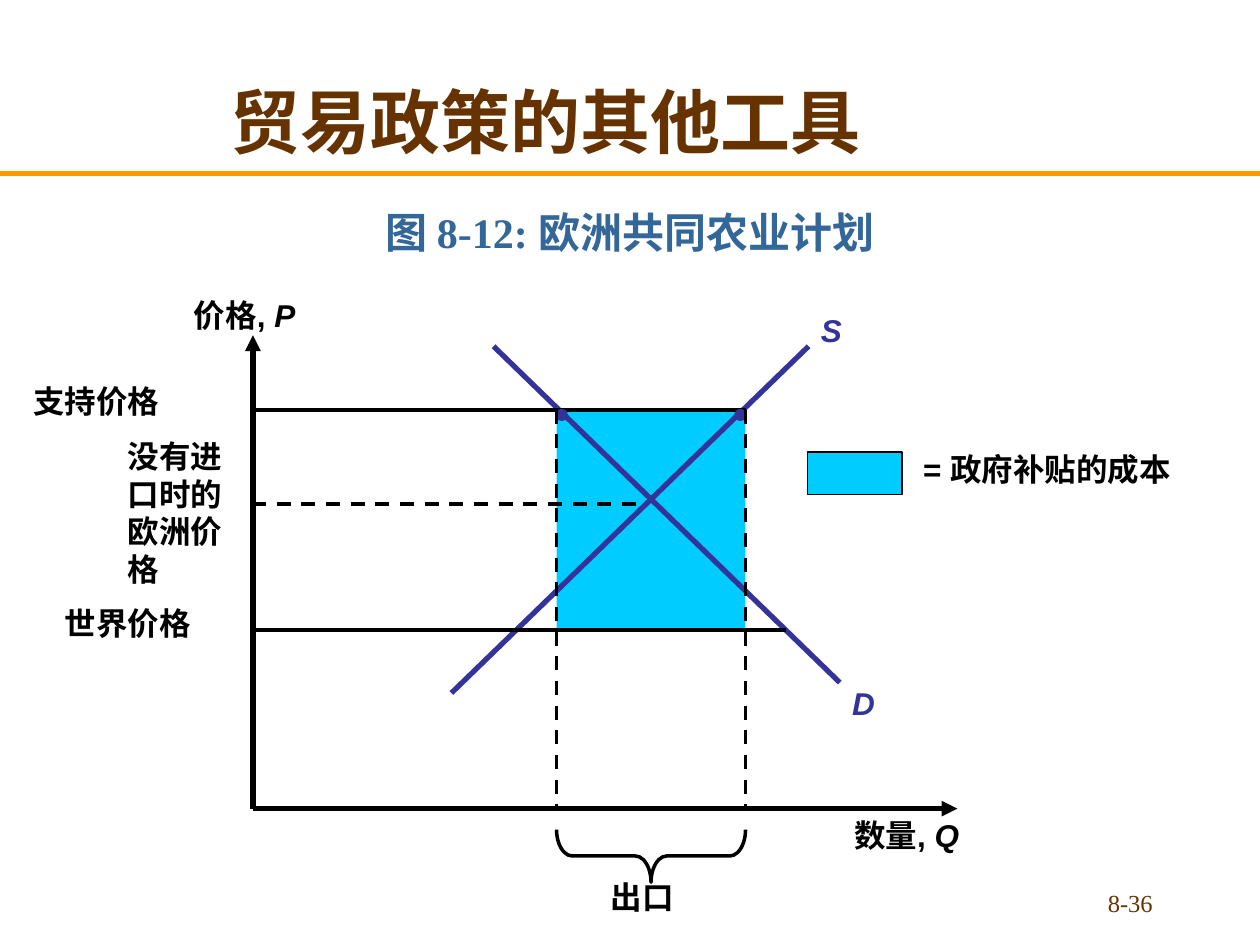
from pptx import Presentation
from pptx.dml.color import RGBColor
from pptx.enum.dml import MSO_LINE
from pptx.enum.shapes import MSO_CONNECTOR, MSO_SHAPE
from pptx.enum.text import MSO_ANCHOR, MSO_AUTO_SIZE, PP_ALIGN
from pptx.oxml.ns import qn
from pptx.util import Cm, Pt
from lxml.etree import SubElement

BLACK = RGBColor(0x00, 0x00, 0x00)
BROWN = RGBColor(0x66, 0x33, 0x00)
ORANGE = RGBColor(0xFF, 0x99, 0x00)
STEEL = RGBColor(0x33, 0x66, 0x99)
INDIGO = RGBColor(0x33, 0x33, 0x99)
CYAN = RGBColor(0x00, 0xCC, 0xFF)
SERIF, SANS = "Times New Roman", "Arial"

# Diagram coordinates in centimetres
WIDTH, HEIGHT = 25.4, 19.05
AXIS_X, AXIS_Y = 5.1, 16.3
DEMAND_X, SUPPLY_X = 11.22, 15.03
SUPPORT_Y, EUROPE_Y, WORLD_Y = 8.26, 10.16, 12.7
DOT = 0.21

HEADINGS = [  # text, (left, top, width, height), format
    ("8-36", (18.21, 17.35, 5.28, 1.27),
     dict(size=14, color=BROWN, bold=False, align=PP_ALIGN.RIGHT, anchor=MSO_ANCHOR.BOTTOM)),
    ("图 8-12: 欧洲共同农业计划", (0, 3.6, WIDTH, 1.7),
     dict(size=24, color=STEEL, align=PP_ALIGN.CENTER, anchor=MSO_ANCHOR.BOTTOM)),
    ("贸易政策的其他工具", (0.2, 0.84, 21.59, 3.18),
     dict(size=40, color=BROWN, align=PP_ALIGN.CENTER, anchor=MSO_ANCHOR.MIDDLE)),
]
LABELS = [  # upright text, italic symbol, (left, top, width, height), format
    ("价格, ", "P", (3.66, 5.84, 2.69, 1.02), {}),
    ("数量, ", "Q", (16.97, 16.33, 2.77, 1.02), {}),
    ("", "S", (16.3, 6.15, 0.91, 1.02), dict(color=INDIGO)),
    ("", "D", (16.93, 13.67, 0.97, 1.02), dict(color=INDIGO)),
    ("没有进口时的欧洲价格", "", (2.33, 8.68, 2.96, 3.3), dict(wrap=True)),
    ("世界价格", "", (1.06, 12.06, 3.05, 1.02), {}),
    ("= 政府补贴的成本", "", (18.36, 8.94, 5.64, 1.02), {}),
    ("支持价格", "", (0.42, 7.57, 3.05, 1.02), {}),
    ("出口", "", (12.06, 17.58, 1.78, 1.02), {}),
]
AXES = [((AXIS_X, 6.76), (AXIS_X, AXIS_Y)), ((19.3, AXIS_Y), (AXIS_X, AXIS_Y))]
CURVES = [((16.3, 6.98), (9.1, 13.97)), ((9.95, 6.98), (16.93, 13.76))]
PRICE_LINES = [  # height, right end, dashed
    (EUROPE_Y, 12.9, True), (WORLD_Y, 15.85, False), (SUPPORT_Y, SUPPLY_X, False),
]

deck = Presentation()
deck.slide_width, deck.slide_height = Cm(WIDTH), Cm(HEIGHT)
page = deck.slides.add_slide(deck.slide_layouts[6])


def add_text(text, place, symbol="", font=SANS, size=18, color=BLACK, bold=True,
             align=PP_ALIGN.LEFT, anchor=MSO_ANCHOR.TOP, wrap=True, grow=False):
    """Add a text box; symbol follows the text in italics."""
    box = page.shapes.add_textbox(*map(Cm, place))
    frame = box.text_frame
    frame.word_wrap, frame.vertical_anchor = wrap, anchor
    frame.auto_size = MSO_AUTO_SIZE.SHAPE_TO_FIT_TEXT if grow else MSO_AUTO_SIZE.NONE
    para = frame.paragraphs[0]
    para.alignment = align
    for words, italic in ((text, False), (symbol, True)):
        if words:
            span = para.add_run()
            span.text = words
            span.font.name, span.font.size = font, Pt(size)
            span.font.bold, span.font.italic = bold, italic
            span.font.color.rgb = color


def add_line(start, end, color=BLACK, width=2, dashed=False, arrow=False):
    line = page.shapes.add_connector(MSO_CONNECTOR.STRAIGHT, *map(Cm, start + end))
    line.line.color.rgb, line.line.width = color, Pt(width)
    if dashed:
        line.line.dash_style = MSO_LINE.DASH
    if arrow:
        SubElement(line.line._get_or_add_ln(), qn("a:headEnd"), type="triangle")
    SubElement(line._element.spPr, qn("a:effectLst"))


def add_figure(kind, place, fill=None, outline=None, width=1):
    figure = page.shapes.add_shape(kind, *map(Cm, place))
    figure.shadow.inherit = False
    if fill is None:
        figure.fill.background()
    else:
        figure.fill.solid()
        figure.fill.fore_color.rgb = fill
    if outline is None:
        figure.line.fill.background()
    else:
        figure.line.color.rgb, figure.line.width = outline, Pt(width)
    return figure


add_line((0, 3.5), (WIDTH, 3.5), color=ORANGE, width=3)
for text, place, style in HEADINGS:
    add_text(text, place, font=SERIF, **style)

for tip, origin in AXES:
    add_line(tip, origin, width=3, arrow=True)

exports = SUPPLY_X - DEMAND_X
add_figure(MSO_SHAPE.RECTANGLE, (DEMAND_X, SUPPORT_Y, exports, WORLD_Y - SUPPORT_Y), CYAN)
for start, end in CURVES:
    add_line(start, end, color=INDIGO, width=3)
for y, right, dashed in PRICE_LINES:
    add_line((5.08, y), (right, y), dashed=dashed)
for x in (SUPPLY_X - DOT, DEMAND_X):
    add_figure(MSO_SHAPE.OVAL, (x, SUPPORT_Y, DOT, DOT), INDIGO, INDIGO)
for x in (DEMAND_X, SUPPLY_X):
    add_line((x, SUPPORT_Y), (x, AXIS_Y), dashed=True)

add_figure(MSO_SHAPE.RECTANGLE, (16.28, 9.12, 1.91, 0.85), CYAN, BLACK)

# A left brace turned to point down, spanning the exported quantity
depth = 1.06
brace = add_figure(MSO_SHAPE.LEFT_BRACE,
                   ((DEMAND_X + SUPPLY_X - depth) / 2, 15.35, depth, exports),
                   outline=BLACK, width=2)
brace.adjustments[0] = 0.3
brace.rotation = 270

for text, symbol, place, style in LABELS:
    add_text(text, place, symbol, grow=True, **{"wrap": False, **style})

deck.save("out.pptx")
